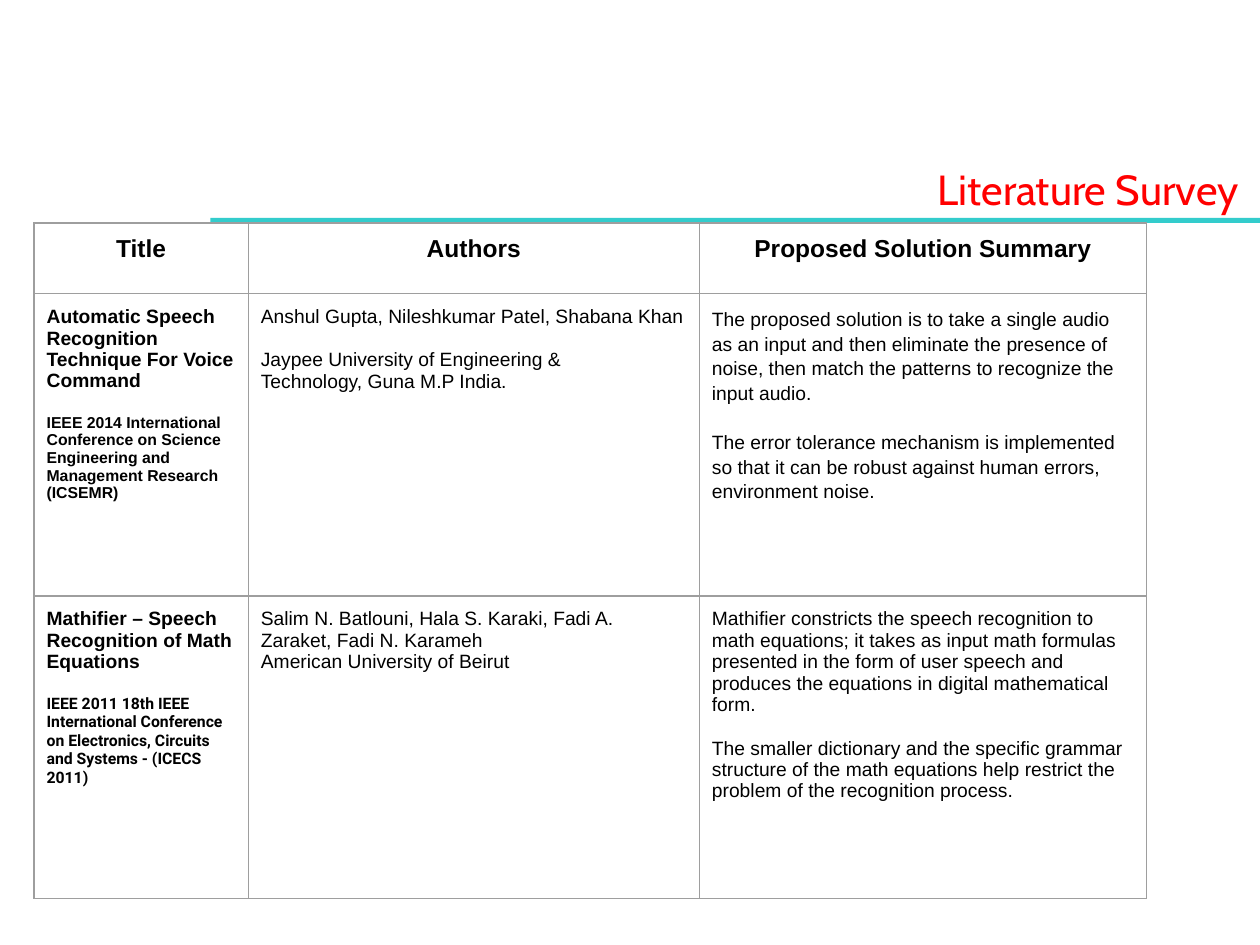
"""Build the literature survey slide with its table of papers."""

from dataclasses import dataclass

import lxml.etree
import pptx
import pptx.dml.color
import pptx.enum.shapes
import pptx.enum.text
import pptx.oxml.ns
import pptx.presentation
import pptx.slide
import pptx.table
import pptx.text.text
import pptx.util

Inches = pptx.util.Inches
Align = pptx.enum.text.PP_ALIGN

COLORS = {"title": "FF0000", "rule": "33CCCC", "text": "000000", "border": "9E9E9E"}
COLUMN_WIDTHS = (1.7, 3.58, 3.55)
ROW_HEIGHTS = (0.56, 2.4, 2.4)
CELL_MARGIN = Inches(0.1)
BORDER_WIDTH = pptx.util.Pt(0.75)


@dataclass(frozen=True)
class Line:
    """One paragraph of text and its formatting."""

    text: str
    size: float = 11
    bold: bool = False
    font: str = "Arial"
    align: Align = Align.LEFT
    color: str = "text"
    gap_before: float = 0
    spacing: float = 1.0


def heading(text: str) -> Line:
    """Return a centred column heading."""
    return Line(text, size=14, bold=True, align=Align.CENTER)


ROWS: list[list[list[Line]]] = [
    [[heading("Title")], [heading("Authors")], [heading("Proposed Solution Summary")]],
    [
        [
            Line("Automatic Speech Recognition Technique For Voice Command", bold=True),
            Line(
                "IEEE 2014 International Conference on Science Engineering and "
                "Management Research (ICSEMR)",
                size=9, bold=True, gap_before=12.5,
            ),
        ],
        [
            Line("Anshul Gupta, Nileshkumar Patel, Shabana Khan"),
            Line("Jaypee University of Engineering &", gap_before=12.5),
            Line("Technology, Guna M.P India."),
        ],
        [
            Line(
                "The proposed solution is to take a single audio as an input and then "
                "eliminate the presence of noise, then match the patterns to recognize "
                "the input audio.",
                spacing=1.15,
            ),
            Line(
                "The error tolerance mechanism is implemented so that it can be robust "
                "against human errors, environment noise.",
                gap_before=14, spacing=1.15,
            ),
        ],
    ],
    [
        [
            Line("Mathifier – Speech Recognition of Math Equations", bold=True),
            Line(
                "IEEE 2011 18th IEEE International Conference on Electronics, Circuits "
                "and Systems - (ICECS 2011)",
                size=9, bold=True, font="Roboto", gap_before=12.5,
            ),
        ],
        [
            Line("Salim N. Batlouni, Hala S. Karaki, Fadi A. Zaraket, Fadi N. Karameh"),
            Line("American University of Beirut"),
        ],
        [
            Line(
                "Mathifier constricts the speech recognition to math equations; it takes "
                "as input math formulas presented in the form of user speech and produces "
                "the equations in digital mathematical form."
            ),
            Line(
                "The smaller dictionary and the specific grammar structure of the math "
                "equations help restrict the problem of the recognition process.",
                gap_before=12.5,
            ),
        ],
    ],
]


def color(name: str) -> pptx.dml.color.RGBColor:
    """Return a named colour."""
    return pptx.dml.color.RGBColor.from_string(COLORS[name])


def write_lines(text_frame: pptx.text.text.TextFrame, lines: list[Line]) -> None:
    """Fill a text frame with one paragraph for each line."""
    for index, line in enumerate(lines):
        paragraph = text_frame.add_paragraph() if index else text_frame.paragraphs[0]
        paragraph.alignment = line.align
        paragraph.line_spacing = line.spacing
        paragraph.space_before = pptx.util.Pt(line.gap_before)
        run = paragraph.add_run()
        run.text = line.text
        run.font.name = line.font
        run.font.size = pptx.util.Pt(line.size)
        run.font.bold = line.bold
        run.font.color.rgb = color(line.color)


def add_borders(cell: pptx.table._Cell) -> None:
    """Draw a thin line on every side of a cell."""
    properties = cell._tc.get_or_add_tcPr()
    qualify = pptx.oxml.ns.qn
    for side in ("a:lnL", "a:lnR", "a:lnT", "a:lnB"):
        border = lxml.etree.SubElement(properties, qualify(side), w=str(BORDER_WIDTH))
        fill = lxml.etree.SubElement(border, qualify("a:solidFill"))
        lxml.etree.SubElement(fill, qualify("a:srgbClr"), val=COLORS["border"])


def format_title(slide: pptx.slide.Slide) -> None:
    """Place and write the slide title."""
    title = slide.shapes.title
    title.left, title.top = Inches(2.92), Inches(1.25)
    title.width, title.height = Inches(7.08), Inches(0.5)
    text_frame = title.text_frame
    text_frame.auto_size = pptx.enum.text.MSO_AUTO_SIZE.NONE
    text_frame.vertical_anchor = pptx.enum.text.MSO_ANCHOR.MIDDLE
    text_frame.margin_right = Inches(0.17)
    line = Line("Literature Survey", 24, font="Cabin", align=Align.RIGHT, color="title")
    write_lines(text_frame, [line])


def add_rule(slide: pptx.slide.Slide) -> None:
    """Add the coloured bar under the title."""
    rule = slide.shapes.add_shape(
        pptx.enum.shapes.MSO_SHAPE.RECTANGLE,
        Inches(1.67), Inches(1.73), Inches(8.33), Inches(0.04),
    )
    rule.shadow.inherit = False
    rule.fill.solid()
    rule.fill.fore_color.rgb = color("rule")
    rule.line.fill.background()


def add_survey_table(slide: pptx.slide.Slide) -> None:
    """Add the table of surveyed papers."""
    table = slide.shapes.add_table(
        len(ROW_HEIGHTS), len(COLUMN_WIDTHS), Inches(0.27), Inches(1.77),
        Inches(sum(COLUMN_WIDTHS)), Inches(sum(ROW_HEIGHTS)),
    ).table
    table.first_row = table.horz_banding = False
    for column, width in zip(table.columns, COLUMN_WIDTHS):
        column.width = Inches(width)
    for row, height, contents in zip(table.rows, ROW_HEIGHTS, ROWS):
        row.height = Inches(height)
        for cell, lines in zip(row.cells, contents):
            cell.margin_left = cell.margin_right = CELL_MARGIN
            cell.margin_top = cell.margin_bottom = CELL_MARGIN
            add_borders(cell)
            cell.fill.background()
            write_lines(cell.text_frame, lines)


def main() -> None:
    """Create and save the presentation."""
    presentation = pptx.Presentation()
    presentation.slide_width, presentation.slide_height = Inches(10), Inches(7.5)
    slide = presentation.slides.add_slide(presentation.slide_layouts[5])
    add_rule(slide)
    format_title(slide)
    add_survey_table(slide)
    presentation.save("out.pptx")


if __name__ == "__main__":
    main()
